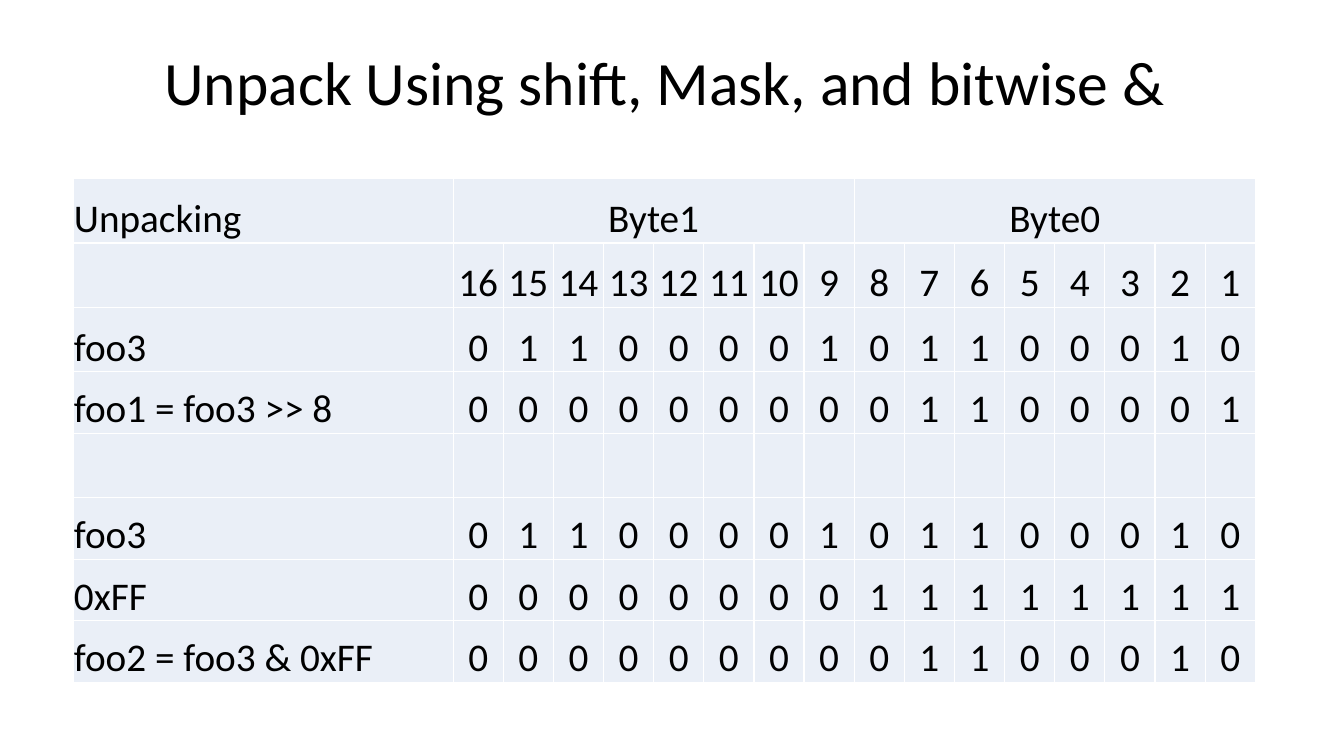
import pptx
import pptx.dml.color
import pptx.enum.text
import pptx.oxml
import pptx.util

BLACK = pptx.dml.color.RGBColor(0x00, 0x00, 0x00)
WHITE = pptx.dml.color.RGBColor(0xFF, 0xFF, 0xFF)
PALE = pptx.dml.color.RGBColor(0xEA, 0xEF, 0xF7)
LEFT = pptx.enum.text.PP_ALIGN.LEFT
MID = pptx.enum.text.PP_ALIGN.CENTER
ANCHOR = pptx.enum.text.MSO_ANCHOR
NS = "http://schemas.openxmlformats.org/drawingml/2006/main"

BITS = 16
BYTE = 8
LABEL = 32.14  # share of the table's width taken by the label column
TALL, LOW = 0.64, 0.61
ROWS = [
    (TALL, "Unpacking", ["Byte1"] + [""] * 7 + ["Byte0"] + [""] * 7),
    (TALL, "", range(BITS, 0, -1)),
    (TALL, "foo3", "0110000101100010"),
    (LOW, "foo1 = foo3 >> 8", "0000000001100001"),
    (TALL, "", [""] * BITS),
    (LOW, "foo3", "0110000101100010"),
    (LOW, "0xFF", "0000000011111111"),
    (LOW, "foo2 = foo3 & 0xFF", "0000000001100010"),
]


def put(item, form):
    """Set each attribute named in a dict of format values."""
    for name, value in form.items():
        setattr(item, name, value)


class Page:
    """Holds the style and the current slide; lengths are percent of its size."""

    def __init__(self, deck):
        """Add a blank slide with a white background."""
        self.deck = deck
        self.slide = deck.slides.add_slide(deck.slide_layouts[6])
        self.font = "Calibri"
        self.inset = pptx.util.Inches(0.01)
        fill = self.slide.background.fill
        fill.solid()
        fill.fore_color.rgb = WHITE

    def area(self, left, top, width, height):
        """Turn percent of the slide into lengths."""
        wide, high = self.deck.slide_width, self.deck.slide_height
        return [int(part * full / 100) for part, full in
                ((left, wide), (top, high), (width, wide), (height, high))]

    def line(self, frame, text, size, align, **form):
        """Put one styled line of text in a frame."""
        para = frame.paragraphs[0]
        put(para, {"alignment": align, **form})
        run = para.add_run()
        run.text = text
        put(run.font, {"name": self.font, "size": pptx.util.Pt(size)})
        run.font.color.rgb = BLACK

    def title(self, text, *place):
        """Add the centred heading."""
        frame = self.slide.shapes.add_textbox(*self.area(*place)).text_frame
        put(frame, {"word_wrap": True, "vertical_anchor": ANCHOR.MIDDLE})
        self.line(frame, text, 44, MID, line_spacing=0.9)

    def edge(self, cell):
        """Draw thin white borders round a cell."""
        props = cell._tc.get_or_add_tcPr()
        for spot, side in enumerate("LRTB"):
            props.insert(spot, pptx.oxml.parse_xml(
                f'<a:ln{side} xmlns:a="{NS}" w="12700"><a:solidFill>'
                f'<a:srgbClr val="{WHITE}"/></a:solidFill></a:ln{side}>'))

    def cell(self, cell, text, align):
        """Fill, border and word one table cell."""
        cell.fill.solid()
        cell.fill.fore_color.rgb = PALE
        self.edge(cell)
        put(cell, {"margin_left": self.inset, "margin_right": self.inset,
                   "margin_top": self.inset, "margin_bottom": 0,
                   "vertical_anchor": ANCHOR.BOTTOM})
        if text:
            self.line(cell.text_frame, text, 28, align)

    def table(self, rows, *place):
        """Add the bit table: a label column, then one column per bit."""
        spot = self.area(*place)
        grid = self.slide.shapes.add_table(len(rows), BITS + 1, *spot).table
        put(grid, {"first_row": False, "horz_banding": False})
        first = int(spot[2] * LABEL / 100)
        for col, column in enumerate(grid.columns):
            column.width = (spot[2] - first) // BITS if col else first
        for row, (height, label, bits) in enumerate(rows):
            grid.rows[row].height = pptx.util.Inches(height)
            for col, text in enumerate([label, *bits]):
                self.cell(grid.cell(row, col), str(text), MID if col else LEFT)
        for start in range(1, BITS, BYTE):
            grid.cell(0, start).merge(grid.cell(0, start + BYTE - 1))


def main():
    """Build and save the slide."""
    deck = pptx.Presentation()
    put(deck, {"slide_width": pptx.util.Inches(13.33),
               "slide_height": pptx.util.Inches(7.5)})
    page = Page(deck)
    page.title("Unpack Using shift, Mask, and bitwise & ", 6.88, 5.33, 86.25, 11.87)
    page.table(ROWS, 5.43, 23.6, 88, 66.67)
    deck.save("out.pptx")


main()
